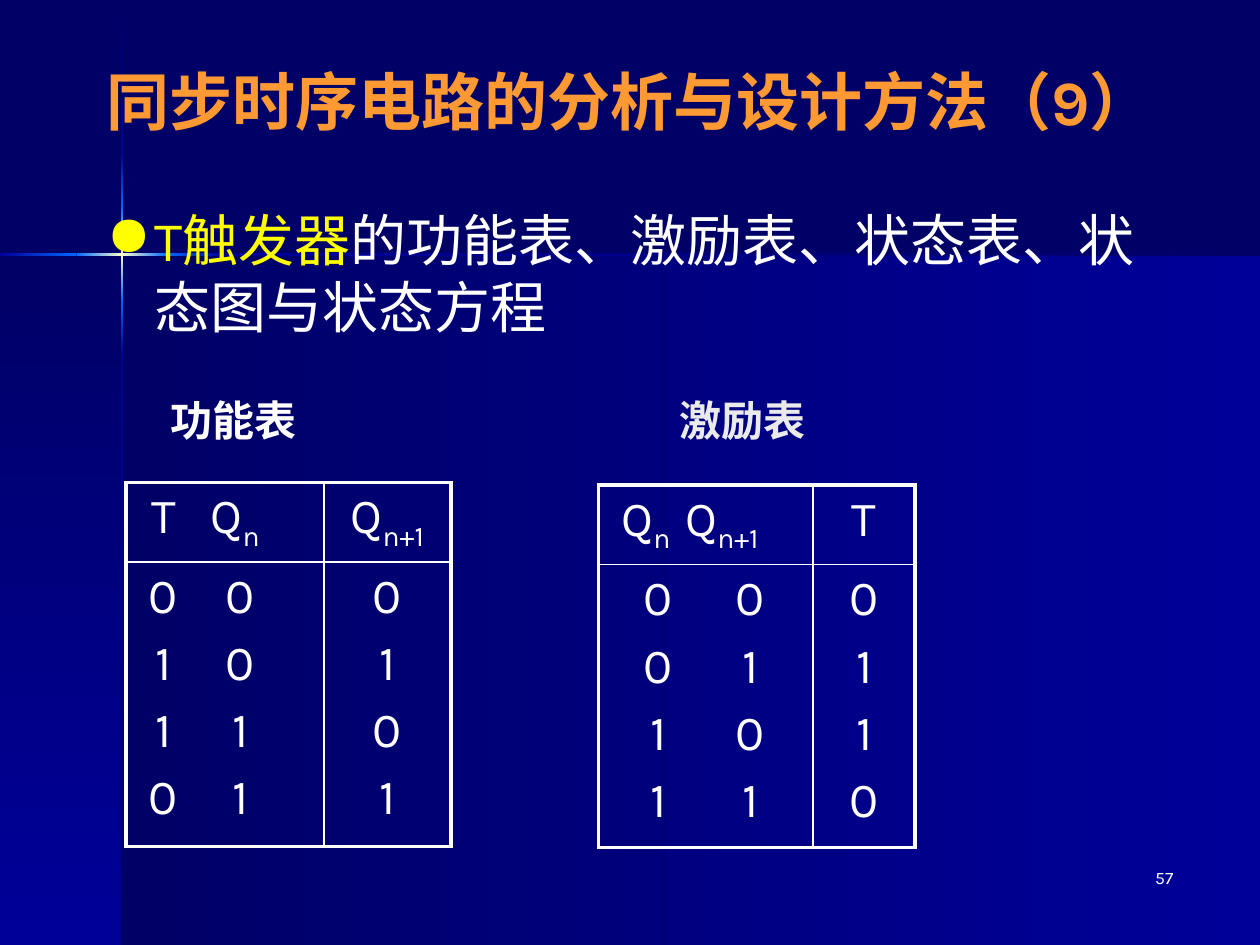
from itertools import pairwise

from lxml.etree import SubElement
from pptx import Presentation
from pptx.dml.color import RGBColor
from pptx.enum.shapes import MSO_SHAPE as Geom
from pptx.enum.text import MSO_ANCHOR as Anchor, PP_ALIGN as Align
from pptx.oxml import parse_xml
from pptx.oxml.ns import nsdecls, qn
from pptx.util import Cm, Pt

NIGHT = RGBColor(0x00, 0x00, 0x66)
DEEP = RGBColor(0x00, 0x00, 0x99)
SKY = RGBColor(0x00, 0x66, 0xFF)
CREAM = RGBColor(0xFF, 0xFF, 0xCC)
ORANGE = RGBColor(0xFF, 0x99, 0x33)
YELLOW = RGBColor(0xFF, 0xFF, 0x00)
WHITE = RGBColor(0xFF, 0xFF, 0xFF)
PALE = RGBColor(0xEA, 0xEA, 0xEA)

TITLE = {"name": "Karla", "size": Pt(36), "bold": True}
BODY = {"name": "Karla", "size": Pt(32)}
HEAD = {"name": "TeX Gyre Schola", "size": Pt(24), "bold": True}
CELL = {"name": "Karla", "size": Pt(28)}
PAGE = {"name": "Karla", "size": Pt(10)}


def add_run(para, text, style, color=WHITE, sub=False):
    run = para.add_run()
    run.text = text
    for key, value in style.items():
        setattr(run.font, key, value)
    run.font.color.rgb = color
    if sub:
        run._r.get_or_add_rPr().set("baseline", "-25000")


def add_text(slide, box, runs, style, align=Align.LEFT, anchor=Anchor.TOP):
    frame = slide.shapes.add_textbox(*map(Cm, box)).text_frame
    frame.word_wrap = True
    frame.vertical_anchor = anchor
    para = frame.paragraphs[0]
    para.alignment = align
    for text, color in runs:
        add_run(para, text, style, color)
    return para


def add_band(slide, box, colors, angle):
    """Rectangle with evenly spaced gradient stops."""
    band = slide.shapes.add_shape(Geom.RECTANGLE, *map(Cm, box))
    band.shadow.inherit = False
    band.line.fill.background()
    step = 100000 // (len(colors) - 1)
    stops = "".join(
        f'<a:gs pos="{i * step}"><a:srgbClr val="{color}"/></a:gs>'
        for i, color in enumerate(colors))
    grad = parse_xml(
        f'<a:gradFill {nsdecls("a")} rotWithShape="1"><a:gsLst>{stops}</a:gsLst>'
        f'<a:lin ang="{angle * 60000}" scaled="0"/></a:gradFill>')
    band._element.spPr.find(qn("a:prstGeom")).addnext(grad)


def add_backdrop(slide, box):
    left, top, width, height = box
    fill = slide.background.fill
    fill.solid()
    fill.fore_color.rgb = NIGHT
    # Two large panels below the horizon
    side, sky = 2.46, 5.13
    add_band(slide, (left + side, top + sky, width - side, height - sky), (NIGHT, DEEP), 0)
    add_band(slide, (left, top + sky, side, height - sky), (NIGHT, DEEP), 90)
    # Thin beams that cross in a bright spot
    beam = [(NIGHT, DEEP), (DEEP, SKY), (SKY, CREAM, SKY), (SKY, DEEP), (DEEP, NIGHT)]
    thin = 0.05
    for (a, b), colors in zip(pairwise((0.03, 3.07, 4.19, 6.05, 7.16, height)), beam):
        add_band(slide, (left + 2.44, top + a, thin, b - a), colors, 90)
    for (a, b), colors in zip(pairwise((0, 1.54, 3.38, 4.5, width)), beam[1:]):
        add_band(slide, (left + a, top + 5.11, b - a, thin), colors, 0)


def add_point(slide, box):
    para = add_text(slide, box, [
        ("T触发器", YELLOW),
        ("的功能表、激励表、状态表、状态图与状态方程", WHITE)], BODY)
    props = para._p.get_or_add_pPr()
    props.set("marL", str(Cm(0.96)))
    props.set("indent", str(-Cm(0.96)))
    SubElement(SubElement(props, qn("a:buClr")), qn("a:srgbClr")).set("val", str(YELLOW))
    SubElement(props, qn("a:buChar")).set("char", "●")


def set_tabs(para, stops):
    tabs = SubElement(para._p.get_or_add_pPr(), qn("a:tabLst"))
    for stop in stops:
        tab = SubElement(tabs, qn("a:tab"))
        tab.set("pos", str(Cm(stop)))
        tab.set("algn", "ctr")


def set_edges(cell, row, col):
    """Thick on the outer frame, thin between cells."""
    outer = {"lnL": col == 0, "lnR": col == 1, "lnT": row == 0, "lnB": row == 1}
    props = cell._tc.get_or_add_tcPr()
    for tag, thick in outer.items():
        line = SubElement(props, qn(f"a:{tag}"))
        line.set("w", str(Pt(2.25 if thick else 1)))
        fill = SubElement(line, qn("a:solidFill"))
        SubElement(fill, qn("a:srgbClr")).set("val", str(WHITE))
    cell.fill.background()


def fill_cell(cell, lines, stops):
    """Each line is a list of texts, where every second one is a subscript."""
    frame = cell.text_frame
    for i, line in enumerate(lines):
        para = frame.add_paragraph() if i else frame.paragraphs[0]
        if i:
            para.space_before = Pt(5.6)
        if stops:
            set_tabs(para, stops)
        else:
            para.alignment = Align.CENTER
        for k, text in enumerate(line):
            add_run(para, text, CELL, sub=k % 2 == 1)


def add_truth(slide, box, split, head, pairs, tabs):
    """Truth table: header row, then one tall row holding all the states."""
    left, top, width, height = box
    table = slide.shapes.add_table(2, 2, *map(Cm, box)).table
    table.first_row = table.horz_banding = False
    for col, size in zip(table.columns, (split, width - split)):
        col.width = Cm(size)
    first = 1.46
    for row, size in zip(table.rows, (first, height - first)):
        row.height = Cm(size)
    states = ([["\t" + "\t".join(ins)] for ins, out in pairs],
              [[out] for ins, out in pairs])
    for col in range(2):
        for row, lines in enumerate(([head[col]], states[col])):
            cell = table.cell(row, col)
            set_edges(cell, row, col)
            fill_cell(cell, lines, tabs[row] if col == 0 else ())


def main():
    deck = Presentation()
    deck.slide_width, deck.slide_height = Cm(25.4), Cm(19.05)
    slide = deck.slides.add_slide(deck.slide_layouts[6])
    add_backdrop(slide, (0, 0, 25.4, 19.05))

    # Page number, title and main point
    add_text(slide, (18.62, 17.35, 5.28, 1.27), [("57", WHITE)], PAGE, Align.RIGHT)
    add_text(slide, (0.84, 1.12, 23.7, 1.8),
             [("同步时序电路的分析与设计方法（9）", ORANGE)], TITLE,
             Align.CENTER, Anchor.MIDDLE)
    add_point(slide, (1.9, 4.01, 22.02, 12.9))

    # Function table
    add_text(slide, (3.18, 7.82, 3.38, 1.27), [("功能表", WHITE)], HEAD)
    add_truth(slide, (2.54, 9.73, 6.55, 7.19), 3.99,
              (["\tT\tQ", "n"], ["Q", "n+1"]),
              [("00", "0"), ("10", "1"), ("11", "0"), ("01", "1")],
              ((0.5, 1.95), (0.5, 2.05)))

    # Excitation table
    add_text(slide, (13.44, 7.82, 3.28, 1.27), [("激励表", PALE)], HEAD)
    add_truth(slide, (12.07, 9.78, 6.38, 7.16), 4.32,
              (["\tQ", "n", "\tQ", "n+1"], ["T"]),
              [("00", "0"), ("01", "1"), ("10", "1"), ("11", "0")],
              ((0.7, 2.23), (0.95, 2.8)))

    deck.save("out.pptx")


if __name__ == "__main__":
    main()
